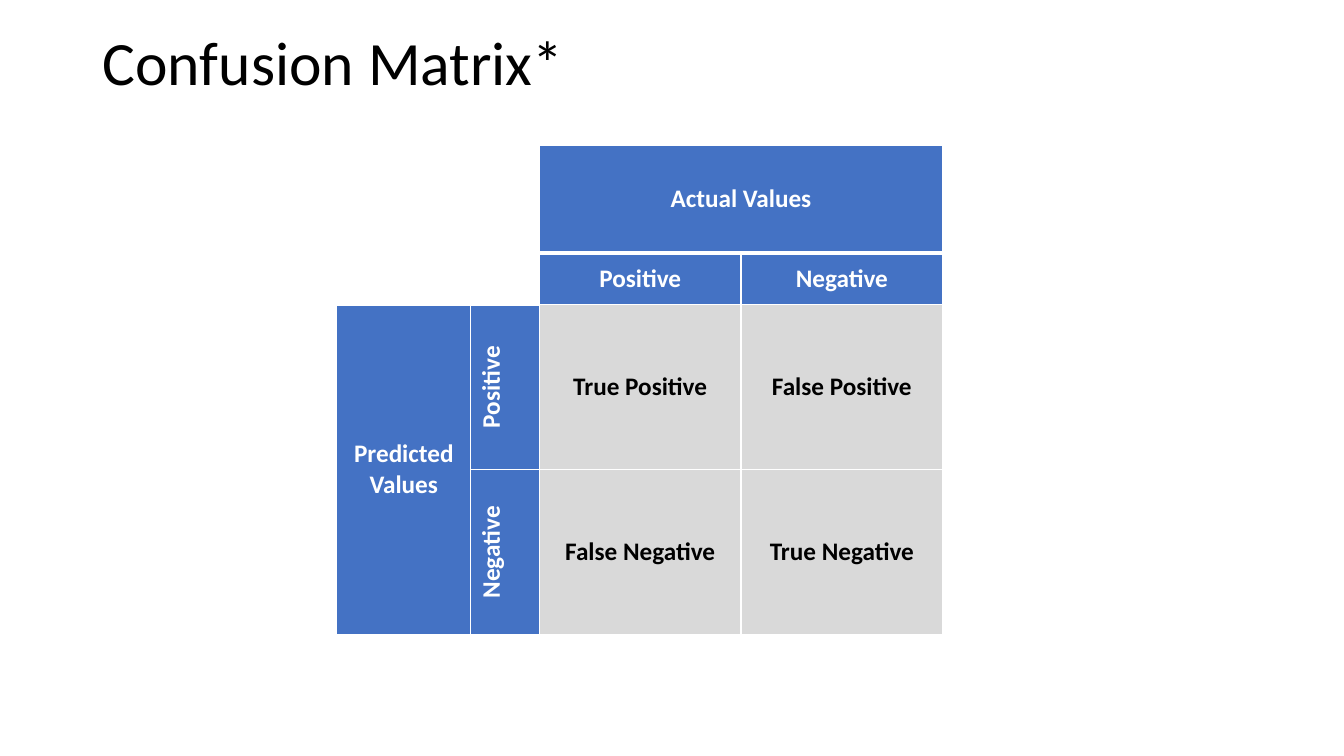
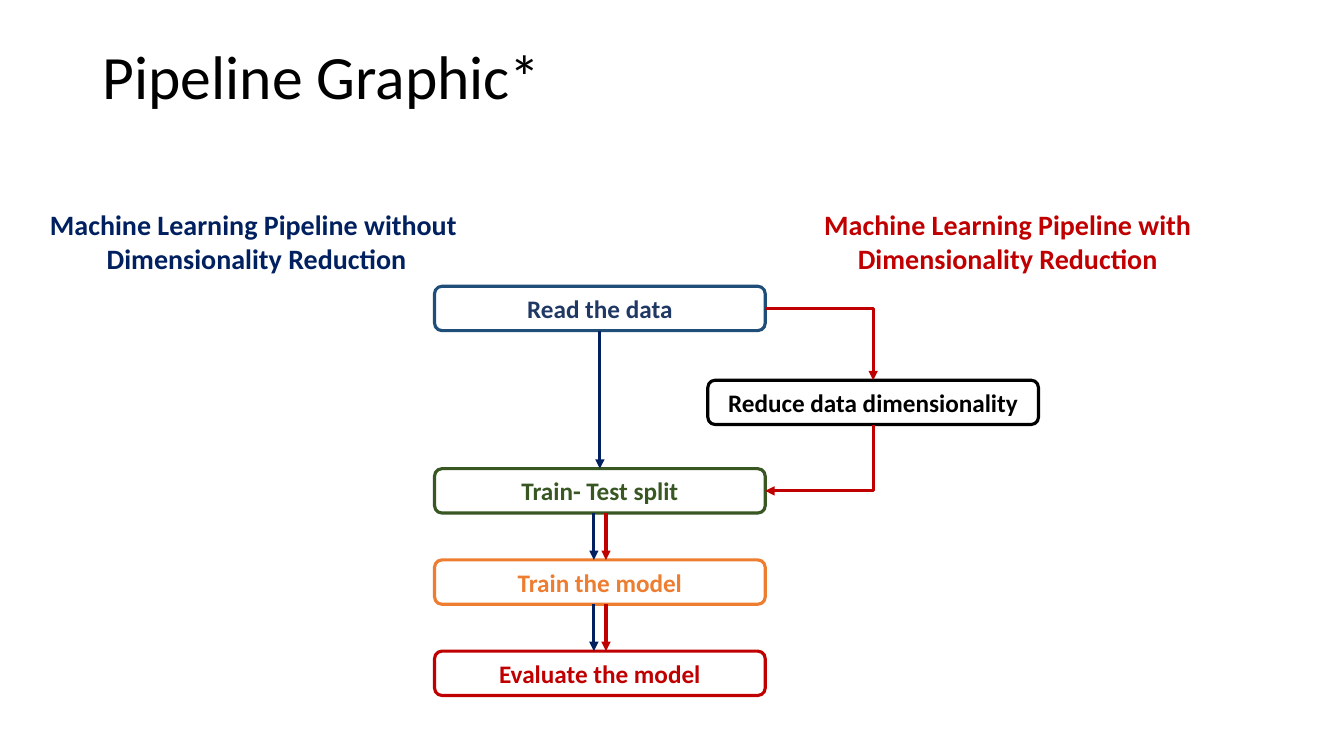
from pptx import Presentation
from pptx.dml.color import RGBColor
from pptx.enum.shapes import MSO_CONNECTOR as Line, MSO_SHAPE as Shape
from pptx.enum.text import MSO_ANCHOR as Anchor, PP_ALIGN as Align
from pptx.oxml.ns import qn
from pptx.util import Inches, Pt
from lxml.etree import SubElement

# Shared style
FONT = "Calibri"
WHITE, BLACK, BLUE, GREY = "FFFFFF", "000000", "4472C4", "D9D9D9"
NAVY, RED, GREEN, ORANGE = "002060", "C00000", "385723", "ED7D31"
WIDTH, HEIGHT = 13.33, 7.5
TITLE_LEFT, TITLE_WIDTH = 0.92, 11.5

# Confusion matrix: text, row, column, row span, column span, fill, text colour
MATRIX_LEFT, MATRIX_TOP = 3.34, 1.44
COLUMNS = [1.33, 0.68, 2, 2]
ROWS = [1.07, 0.51, 1.64, 1.64]
CELLS = [
    ("", 0, 0, 2, 2, WHITE, BLACK),
    ("Actual Values", 0, 2, 1, 2, BLUE, WHITE),
    ("Positive", 1, 2, 1, 1, BLUE, WHITE),
    ("Negative", 1, 3, 1, 1, BLUE, WHITE),
    ("Predicted Values", 2, 0, 2, 1, BLUE, WHITE),
    ("Positive", 2, 1, 1, 1, BLUE, WHITE),
    ("Negative", 3, 1, 1, 1, BLUE, WHITE),
    ("True Positive", 2, 2, 1, 1, GREY, BLACK),
    ("False Positive", 2, 3, 1, 1, GREY, BLACK),
    ("False Negative", 3, 2, 1, 1, GREY, BLACK),
    ("True Negative", 3, 3, 1, 1, GREY, BLACK),
]
SIDEWAYS_COLUMN = 1

# Pipeline: headings, then steps on a vertical grid
HEADINGS = [
    ("Machine Learning Pipeline without \vDimensionality Reduction", 0.13, NAVY),
    ("Machine Learning Pipeline with\vDimensionality Reduction", 7.58, RED),
]
HEADING_TOP, HEADING_WIDTH, HEADING_HEIGHT = 2.01, 4.83, 0.77
STEP_WIDTH, STEP_HEIGHT = 3.28, 0.44
MAIN_LEFT, SIDE_LEFT = 4.31, 7.02
FIRST_TOP, LAST_TOP = 2.84, 6.46
PITCH = (LAST_TOP - FIRST_TOP) / 4
READ, REDUCE, SPLIT, TRAIN, EVALUATE = 0, 1.03, 2, 3, 4
STEPS = [
    ("Read the data", MAIN_LEFT, READ, "1F4E79", "203864"),
    ("Train- Test split", MAIN_LEFT, SPLIT, GREEN, GREEN),
    ("Train the model", MAIN_LEFT, TRAIN, ORANGE, ORANGE),
    ("Evaluate the model", MAIN_LEFT, EVALUATE, RED, RED),
    ("Reduce data dimensionality", SIDE_LEFT, REDUCE, BLACK, BLACK),
]
LANE = 0.06


def color(value):
    return RGBColor.from_string(value)


def write(frame, text, size, ink, bold=True, align=Align.CENTER):
    frame.text = text
    para = frame.paragraphs[0]
    para.alignment = align
    for span in para.runs:
        span.font.name, span.font.size, span.font.bold = FONT, Pt(size), bold
        span.font.color.rgb = color(ink)
    return para


def add_text(page, place, text, size, ink, **style):
    box = page.shapes.add_textbox(*map(Inches, place))
    box.text_frame.word_wrap = True
    return box.text_frame, write(box.text_frame, text, size, ink, **style)


def add_page(title, top, height):
    page = deck.slides.add_slide(deck.slide_layouts[6])
    frame, para = add_text(page, (TITLE_LEFT, top, TITLE_WIDTH, height), title,
                           44, BLACK, bold=False, align=Align.LEFT)
    frame.vertical_anchor = Anchor.MIDDLE
    para.line_spacing = 0.9
    return page


def border_cell(cell, bottom):
    properties = cell._tc.get_or_add_tcPr()
    for side, width in (("L", 1), ("R", 1), ("T", 1), ("B", bottom)):
        edge = SubElement(properties, qn(f"a:ln{side}"), w=str(Pt(width)))
        fill = SubElement(edge, qn("a:solidFill"))
        SubElement(fill, qn("a:srgbClr"), val=WHITE)


def add_matrix(page):
    table = page.shapes.add_table(
        len(ROWS), len(COLUMNS), Inches(MATRIX_LEFT), Inches(MATRIX_TOP),
        Inches(sum(COLUMNS)), Inches(sum(ROWS))).table
    for column, width in zip(table.columns, COLUMNS):
        column.width = Inches(width)
    for row, height in zip(table.rows, ROWS):
        row.height = Inches(height)
    for text, row, column, tall, wide, fill, ink in CELLS:
        for r in range(row, row + tall):
            for c in range(column, column + wide):
                part = table.cell(r, c)
                border_cell(part, 3 if row == 0 else 1)
                part.fill.solid()
                part.fill.fore_color.rgb = color(fill)
        cell = table.cell(row, column)
        if tall * wide > 1:
            cell.merge(table.cell(row + tall - 1, column + wide - 1))
        cell.vertical_anchor = Anchor.MIDDLE
        write(cell.text_frame, text, 18, ink)
        if column == SIDEWAYS_COLUMN:
            cell._tc.get_or_add_tcPr().set("vert", "vert270")


def step_top(row):
    return FIRST_TOP + row * PITCH


def add_step(page, text, left, row, edge, ink):
    box = page.shapes.add_shape(Shape.ROUNDED_RECTANGLE, *map(
        Inches, (left, step_top(row), STEP_WIDTH, STEP_HEIGHT)))
    box.shadow.inherit = False
    box.fill.solid()
    box.fill.fore_color.rgb = color(WHITE)
    box.line.color.rgb = color(edge)
    box.line.width = Pt(2.25)
    box.text_frame.vertical_anchor = Anchor.MIDDLE
    write(box.text_frame, text, 18, ink)


def add_arrow(page, start, end, ink, bent=False, tip="tailEnd"):
    kind = Line.ELBOW if bent else Line.STRAIGHT
    arrow = page.shapes.add_connector(kind, *map(Inches, start + end))
    arrow.line.color.rgb = color(ink)
    arrow.line.width = Pt(2.25)
    SubElement(arrow.line._get_or_add_ln(), qn(f"a:{tip}"), type="triangle")
    properties = arrow._element.spPr
    SubElement(properties, qn("a:effectLst"))
    if bent:
        properties.find(qn("a:prstGeom")).set("prst", "bentConnector2")


def add_down_arrow(page, x, upper, lower, ink):
    add_arrow(page, (x, step_top(upper) + STEP_HEIGHT), (x, step_top(lower)), ink)


deck = Presentation()
deck.slide_width, deck.slide_height = Inches(WIDTH), Inches(HEIGHT)

# Confusion matrix
add_matrix(add_page("Confusion Matrix*", 0.23, 0.85))

# Pipeline headings and steps
pipeline = add_page("Pipeline Graphic*", 0.32, 0.93)
for text, left, ink in HEADINGS:
    add_text(pipeline, (left, HEADING_TOP, HEADING_WIDTH, HEADING_HEIGHT), text, 20, ink)
for step in STEPS:
    add_step(pipeline, *step)

# Straight arrows: one navy lane, then navy and red side by side
center = MAIN_LEFT + STEP_WIDTH / 2
add_down_arrow(pipeline, center, READ, SPLIT, NAVY)
for upper, lower in ((SPLIT, TRAIN), (TRAIN, EVALUATE)):
    add_down_arrow(pipeline, center - LANE, upper, lower, NAVY)
    add_down_arrow(pipeline, center + LANE, upper, lower, RED)

# Red detour through the reduction step
main_right = MAIN_LEFT + STEP_WIDTH
side_center = SIDE_LEFT + STEP_WIDTH / 2
middle = STEP_HEIGHT / 2
add_arrow(pipeline, (main_right, step_top(READ) + middle),
          (side_center, step_top(REDUCE)), RED, bent=True)
add_arrow(pipeline, (main_right, step_top(SPLIT) + middle),
          (side_center, step_top(REDUCE) + STEP_HEIGHT), RED, bent=True, tip="headEnd")

deck.save("out.pptx")
